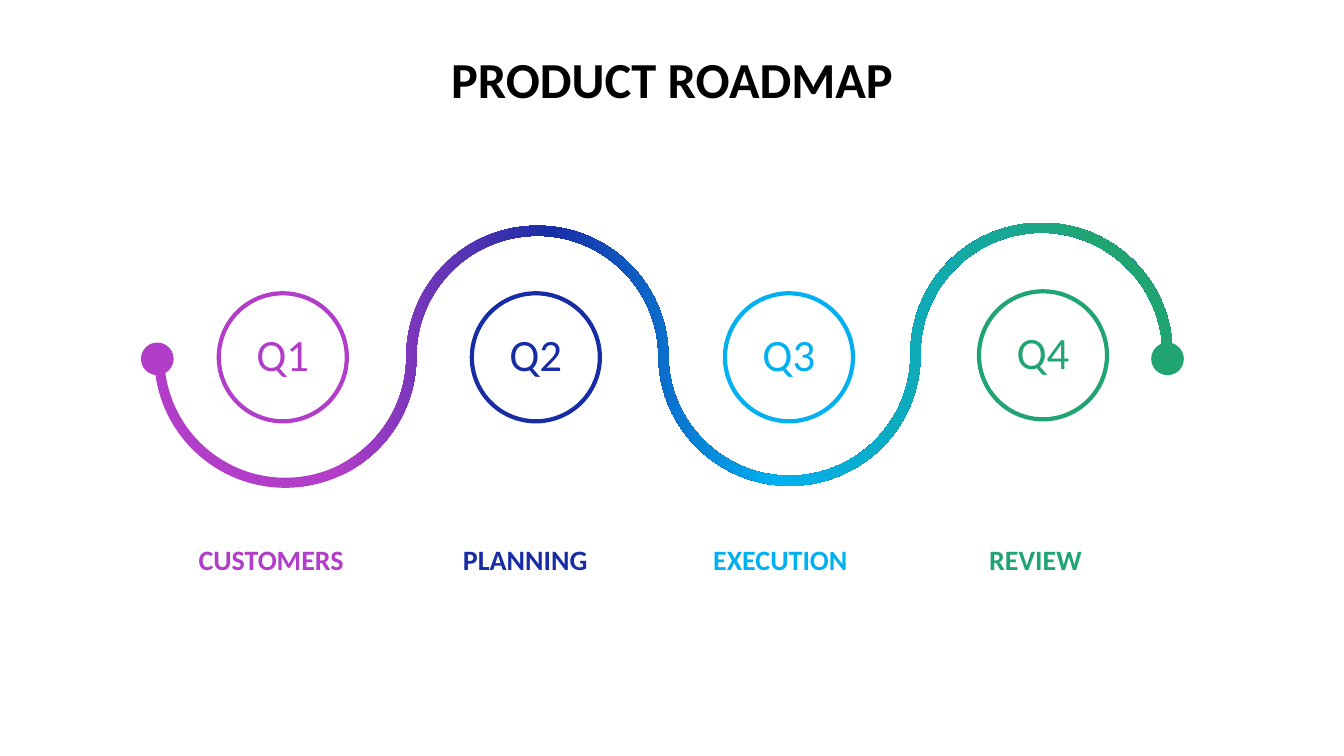
from lxml import etree
from pptx import Presentation, util as u
from pptx.dml.color import RGBColor
from pptx.enum import shapes, text
from pptx.oxml import ns

PX = 9144  # 100 px to the inch
STEP, RADIUS, HALF_WIDTH = 250, 125, 5
BEND = 0.5523  # handle length of a quarter circle
PURPLE, NAVY, SKY, GREEN = "B13DC8", "172DA6", "00B0F0", "20A472"
# label, colour, top of the ring, centre height of the arc
QUARTERS = [("CUSTOMERS", PURPLE, 291, 354), ("PLANNING", NAVY, 291, 354),
            ("EXECUTION", SKY, 291, 352), ("REVIEW", GREEN, 289, 351)]


def rgb(value):
    return RGBColor.from_string(value)


def write(shape, words, size, color, bold, anchor):
    tf = shape.text_frame
    tf.text = words
    tf.word_wrap = True
    tf.auto_size = text.MSO_AUTO_SIZE.NONE
    tf.vertical_anchor = anchor
    p = tf.paragraphs[0]
    p.alignment = text.PP_ALIGN.CENTER
    p.line_spacing, p.space_before = 0.9, u.Pt(10)
    font = p.runs[0].font
    font.name, font.size, font.bold = "Calibri", u.Pt(size), bold
    font.color.rgb = rgb(color)


prs = Presentation()
prs.slide_width, prs.slide_height = 1333 * PX, 750 * PX
s = prs.slides.add_slide(prs.slide_layouts[5])

# Title
title = s.shapes.title
title.left, title.top, title.width, title.height = (n * PX for n in (25, 50, 1283, 129))
write(title, "PRODUCT ROADMAP", 36, "000000", True, text.MSO_ANCHOR.TOP)

# Wave: start, crest and end of each half circle, out along one edge and back
edges = []
for offset in (HALF_WIDTH, -HALF_WIDTH):
    edge = []
    for i, (label, color, ring_top, cy) in enumerate(QUARTERS):
        cx, side = 283 + i * STEP, (-1) ** i
        r = RADIUS + side * offset
        edge += [(cx - r, cy), (cx, cy + side * r), (cx + r, cy)]
    edges.append(edge)
outline = [(x * PX, y * PX) for x, y in edges[0] + edges[1][::-1]]

road = s.shapes.add_group_shape().shapes
builder = road.build_freeform(*outline[0], scale=1.0)
builder.add_line_segments(outline[1:], close=True)
wave = builder.convert_to_shape()
wave.shadow.inherit = False
wave.line.fill.background()

# Bend the segments before and after each crest into quarter circles
points = list(wave._element.iter(ns.qn("a:pt")))
spots = [(int(pt.get("x")), int(pt.get("y"))) for pt in points]
for n in range(1, len(points)):
    (x0, y0), (x1, y1) = spots[n - 1], spots[n]
    dx, dy = BEND * (x1 - x0), BEND * (y1 - y0)
    if n % 3 == 1:
        handles = [(x0, y0 + dy), (x1 - dx, y1)]
    elif n % 3 == 2:
        handles = [(x0 + dx, y0), (x1, y1 - dy)]
    else:
        continue
    line = points[n].getparent()
    curve = etree.Element(ns.qn("a:cubicBezTo"))
    for x, y in handles + [(x1, y1)]:
        etree.SubElement(curve, ns.qn("a:pt"), x=str(round(x)), y=str(round(y)))
    line.getparent().replace(line, curve)

# Four-colour gradient, left to right
wave.fill.gradient()
wave.fill.gradient_angle = 0
stops = wave.fill._fill._gradFill.find(ns.qn("a:gsLst"))
for stop in list(stops):
    stops.remove(stop)
for position, color in ((18, PURPLE), (39, NAVY), (61, SKY), (92, GREEN)):
    stop = etree.SubElement(stops, ns.qn("a:gs"), pos=str(position * 1000))
    etree.SubElement(stop, ns.qn("a:srgbClr"), val=color)

# End dots
for x, color in ((144, PURPLE), (1146, GREEN)):
    dot = road.add_shape(shapes.MSO_SHAPE.OVAL, x * PX, 344 * PX, 24 * PX, 24 * PX)
    dot.shadow.inherit = False
    dot.fill.solid()
    dot.fill.fore_color.rgb = rgb(color)
    dot.line.color.rgb = rgb(color)
    dot.line.width = u.Pt(6)

# Quarter rings
for i, (label, color, ring_top, cy) in enumerate(QUARTERS):
    ring = s.shapes.add_shape(shapes.MSO_SHAPE.OVAL, (217 + i * 754 // 3) * PX,
                              ring_top * PX, 127 * PX, 127 * PX)
    ring.shadow.inherit = False
    ring.fill.background()
    ring.line.color.rgb = rgb(color)
    ring.line.width = u.Pt(3)
    write(ring, f"Q{i + 1}", 32, color, False, text.MSO_ANCHOR.MIDDLE)

# Labels
for i, (label, color, ring_top, cy) in enumerate(QUARTERS):
    box = s.shapes.add_textbox((171 + i * 758 // 3) * PX, 537 * PX, 196 * PX, 33 * PX)
    write(box, label, 20, color, True, text.MSO_ANCHOR.TOP)

prs.save("out.pptx")
